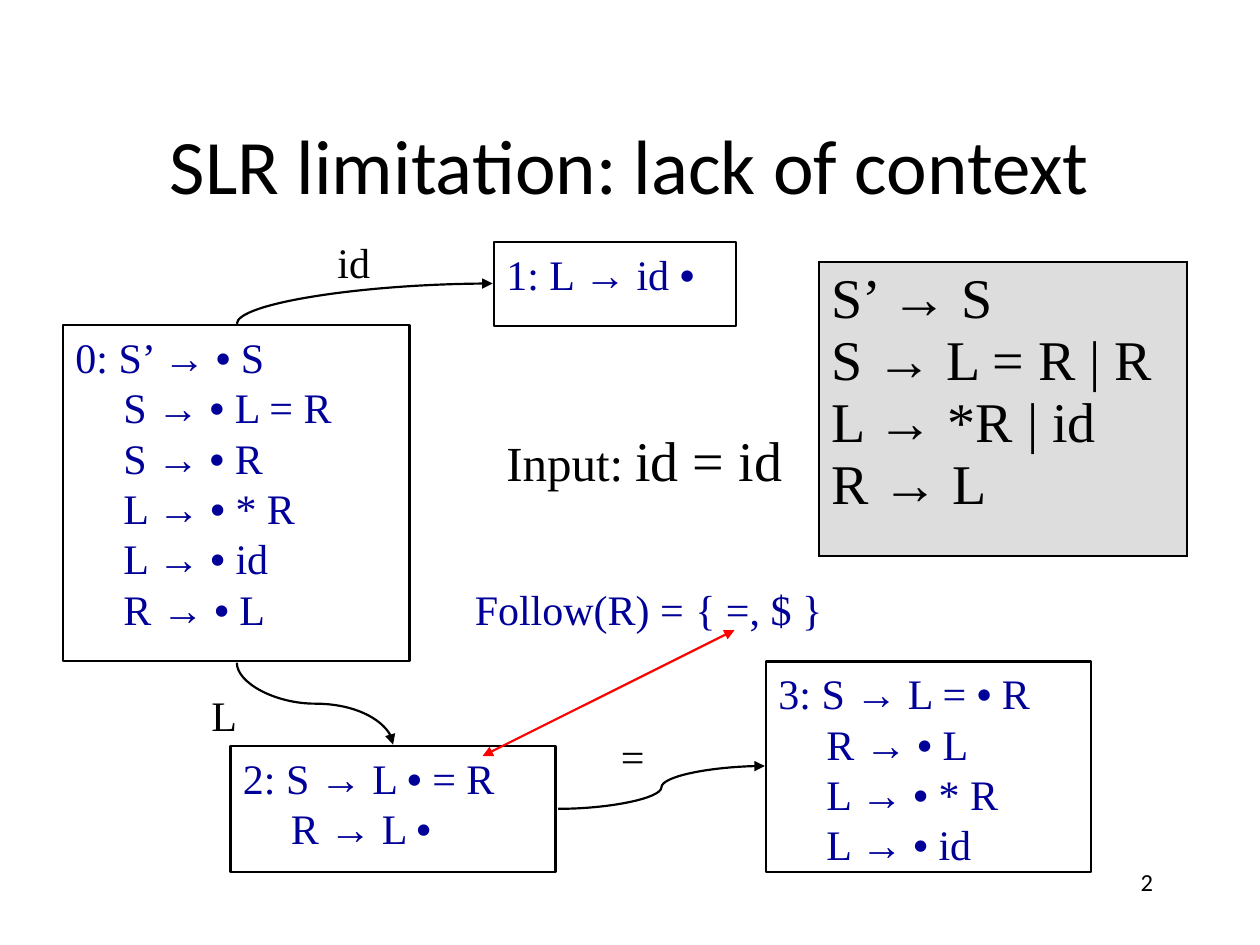
from lxml.etree import SubElement
from pptx import Presentation
from pptx.dml.color import RGBColor
from pptx.enum.shapes import MSO_CONNECTOR, MSO_SHAPE
from pptx.enum.text import MSO_ANCHOR, PP_ALIGN
from pptx.oxml.ns import qn
from pptx.util import Inches, Pt

BLACK = RGBColor(0x00, 0x00, 0x00)
NAVY = RGBColor(0x00, 0x00, 0x99)
RED = RGBColor(0xFF, 0x00, 0x00)
GRAY = RGBColor(0xDD, 0xDD, 0xDD)
SERIF, SANS = "Times New Roman", "Calibri"
HANG = 0.38

# Item sets of the automaton: box and productions
STATES = [
    ((0.5, 2.58, 2.75, 2.67),
     ["0: S’ → • S", "S → • L = R", "S → • R", "L → • * R", "L → • id", "R → • L"]),
    ((3.92, 1.92, 1.92, 0.67), ["1: L → id •"]),
    ((1.83, 5.92, 2.58, 1), ["2: S → L • = R", "R → L •"]),
    ((6.08, 5.25, 2.58, 1.67), ["3: S → L = • R", "R → • L", "L → • * R", "L → • id"]),
]


def style(p, size, color=BLACK, font=SERIF, left=0, first=0):
    pPr = p._p.get_or_add_pPr()
    pPr.set("marL", str(Inches(left)))
    pPr.set("indent", str(Inches(first)))
    p.font.size, p.font.name = Pt(size), font
    p.font.color.rgb = color


def add_lines(p, lines):
    """Write lines with breaks between them and the item dots in bold."""
    for i, line in enumerate(lines):
        if i:
            p.add_line_break()
        for j, part in enumerate(line.split("•")):
            if j:
                r = p.add_run()
                r.text, r.font.bold = "•", True
            if part:
                p.add_run().text = part


def add_text(s, box, text, size, color=BLACK, font=SERIF, left=0, first=0,
             align=PP_ALIGN.LEFT, anchor=MSO_ANCHOR.TOP):
    tf = s.shapes.add_textbox(*map(Inches, box)).text_frame
    tf.word_wrap, tf.vertical_anchor = True, anchor
    p = tf.paragraphs[0]
    p.alignment = align
    add_lines(p, [text])
    style(p, size, color, font, left, first)
    return p


def add_label(s, box, text, color=BLACK):
    add_text(s, box, text, 24, color, left=HANG, first=-HANG)


def add_state(s, box, lines):
    sp = s.shapes.add_shape(MSO_SHAPE.RECTANGLE, *map(Inches, box))
    sp.shadow.inherit = False
    sp.fill.background()
    sp.line.color.rgb, sp.line.width = BLACK, Pt(1.25)
    tf = sp.text_frame
    tf.word_wrap, tf.vertical_anchor = True, MSO_ANCHOR.TOP
    p = tf.paragraphs[0]
    p.alignment = PP_ALIGN.LEFT
    add_lines(p, lines)
    style(p, 24, NAVY, left=HANG, first=-HANG)


def add_arrow(s, kind, start, end, color=BLACK, ends=("tailEnd",)):
    c = s.shapes.add_connector(kind, *map(Inches, start + end))
    c.line.color.rgb, c.line.width = color, Pt(1.25)
    for name in ends:
        SubElement(c.line._get_or_add_ln(), qn("a:" + name), type="triangle")
    SubElement(c._element.spPr, qn("a:effectLst"))
    return c


def add_upright_curve(s, start, end, preset):
    """Curve that leaves its start vertically: a curve turned by 270 degrees."""
    (x1, y1), (x2, y2) = start, end
    cx, cy, dx, dy = (x1 + x2) / 2, (y1 + y2) / 2, (x2 - x1) / 2, (y2 - y1) / 2
    c = add_arrow(s, MSO_CONNECTOR.CURVE, (cx + dy, cy - dx), (cx - dy, cy + dx))
    spPr = c._element.spPr
    spPr.find(qn("a:xfrm")).set("rot", str(270 * 60000))
    spPr.find(qn("a:prstGeom")).set("prst", preset)


def add_grammar(s, box, lines):
    table = s.shapes.add_table(1, 1, *map(Inches, box)).table
    table.first_row = table.horz_banding = False
    cell = table.cell(0, 0)
    p = cell.text_frame.paragraphs[0]
    add_lines(p, lines)
    style(p, 32)
    tcPr = cell._tc.get_or_add_tcPr()
    for side in ("lnL", "lnR", "lnT", "lnB"):
        ln = SubElement(tcPr, qn("a:" + side), w=str(Pt(1.5)))
        fill = SubElement(ln, qn("a:solidFill"))
        SubElement(fill, qn("a:srgbClr"), val=str(BLACK))
    cell.fill.solid()
    cell.fill.fore_color.rgb = GRAY


def add_transitions(s):
    add_upright_curve(s, (1.88, 2.57), (3.91, 2.25), "curvedConnector2")
    add_label(s, (2.58, 1.83, 0.58, 0.58), "id")
    add_upright_curve(s, (1.88, 5.26), (3.12, 5.91), "curvedConnector3")
    add_label(s, (1.58, 5.42, 0.58, 0.58), "L")
    add_arrow(s, MSO_CONNECTOR.CURVE, (4.43, 6.42), (6.07, 6.08))
    add_label(s, (4.83, 5.75, 0.58, 0.58), "=")


def add_follow(s, left, top):
    add_label(s, (left, top, 2.5, 0.58), "Follow(R) =", NAVY)
    add_label(s, (left + 1.75, top, 1.75, 0.58), "{ =, $ }", NAVY)
    add_arrow(s, MSO_CONNECTOR.STRAIGHT, (left + 2.16, top + 0.42),
              (left + 0.16, top + 1.42), RED, ("headEnd", "tailEnd"))


def main():
    prs = Presentation()
    prs.slide_width, prs.slide_height = Inches(10), Inches(7.5)
    s = prs.slides.add_slide(prs.slide_layouts[6])

    # Title and slide number
    add_text(s, (0.75, 0.67, 8.5, 1.25), "SLR limitation: lack of context", 44,
             font=SANS, align=PP_ALIGN.CENTER, anchor=MSO_ANCHOR.MIDDLE)
    add_text(s, (7.17, 6.83, 2.08, 0.5), "2", 14, font=SANS, align=PP_ALIGN.RIGHT)

    # Grammar and automaton
    add_grammar(s, (6.5, 2.08, 2.92, 2.33),
                ["S’ → S", "S → L = R | R", "L → *R | id", "R → L"])
    for box, lines in STATES:
        add_state(s, box, lines)
    add_transitions(s)

    # Follow set and example input
    add_follow(s, 3.67, 4.58)
    p = add_text(s, (3.42, 3.33, 2.92, 0.63), "Input: ", 28, left=0.5)
    r = p.add_run()
    r.text, r.font.size = "id = id", Pt(32)

    prs.save("out.pptx")


if __name__ == "__main__":
    main()
